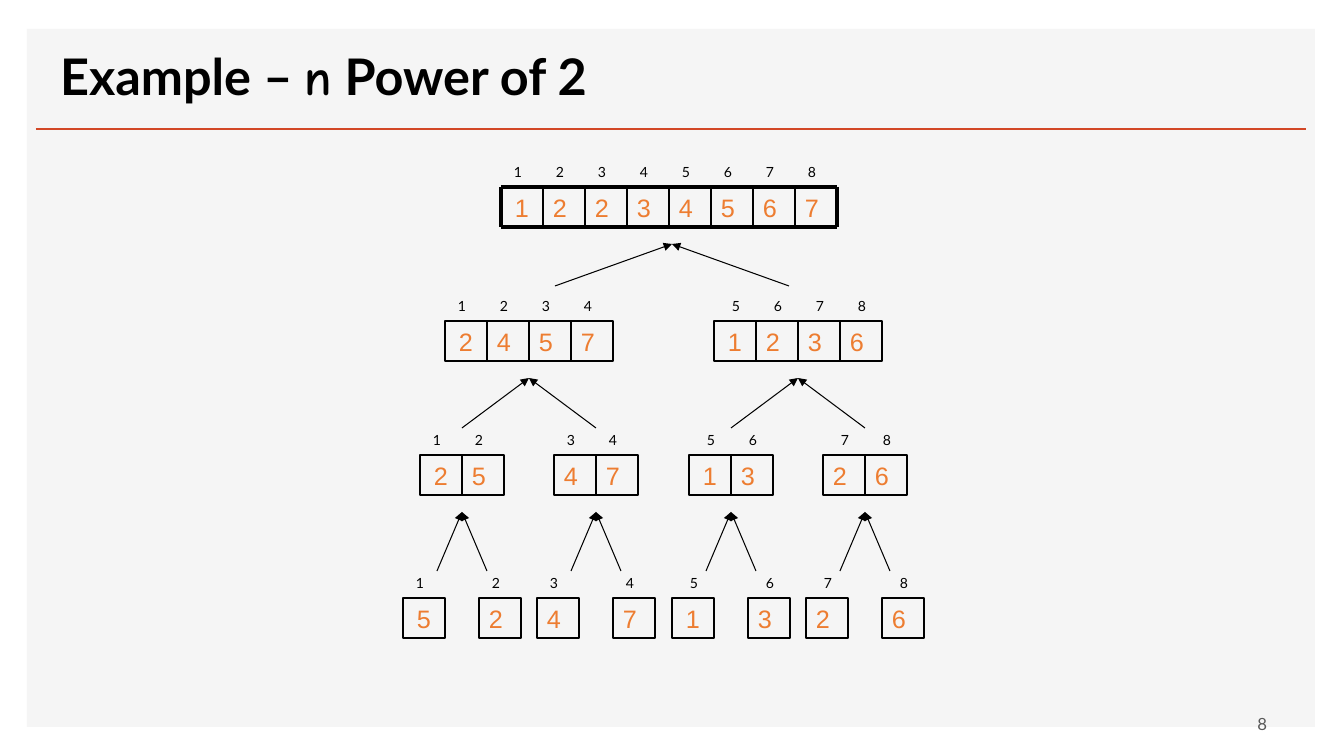
from lxml import etree
from pptx import Presentation
from pptx import util as u
from pptx.dml.color import RGBColor
from pptx.enum import shapes, text
from pptx.oxml.ns import qn

SCALE = 914400 / 100.8  # EMU in one pixel
BLACK = RGBColor(0x00, 0x00, 0x00)
PANEL = RGBColor(0xF5, 0xF5, 0xF5)
RULE = RGBColor(0xD2, 0x47, 0x26)
ORANGE = RGBColor(0xED, 0x7D, 0x31)
GREY = RGBColor(0x59, 0x59, 0x59)

CELL_W, CELL_H = 42, 40
LEAVES = [5, 2, 4, 7, 1, 3, 2, 6]
LEAF_TOP = 598
PAIR_CENTERS = [round(462 + 134.4 * i) for i in range(4)]
# centers of the blocks, top of the cells, arrow tip, arrow tail, half the arrow spread
MERGE_LEVELS = [
    ([672], 187, 244, 286, 117),
    ([529, 798], 321, 378, 428, 67),
    (PAIR_CENTERS, 455, 512, 571, 25),
]
ROOT_LEFT = 501


def px(length):
    """Turn pixels into EMU."""
    return u.Emu(round(length * SCALE))


def add_span(para, words, font="Lato", size=10, color=BLACK, bold=False):
    """Add a formatted run to a paragraph."""
    span = para.add_run()
    span.text = words
    span.font.name, span.font.size = font, u.Pt(size)
    span.font.bold = bold
    span.font.color.rgb = color


def add_text(page, words, left, top, width, height, align=text.PP_ALIGN.LEFT,
             anchor=text.MSO_ANCHOR.MIDDLE, wrap=True, **font):
    """Add a text box with one run."""
    box = page.shapes.add_textbox(px(left), px(top), px(width), px(height))
    fill_text(box, words, align, anchor, wrap, **font)


def fill_text(box, words, align, anchor, wrap=True, **font):
    """Put one formatted run into a shape or text box."""
    frame = box.text_frame
    frame.word_wrap, frame.vertical_anchor = wrap, anchor
    para = frame.paragraphs[0]
    para.alignment = align
    add_span(para, words, **font)


def add_rect(page, left, top, width, height, fill=None, line=None):
    """Add a rectangle, unfilled or without outline when no colour is given."""
    rect = page.shapes.add_shape(shapes.MSO_SHAPE.RECTANGLE,
                                 px(left), px(top), px(width), px(height))
    rect.shadow.inherit = False
    if fill is None:
        rect.fill.background()
    else:
        rect.fill.solid()
        rect.fill.fore_color.rgb = fill
    if line is None:
        rect.line.fill.background()
    else:
        rect.line.color.rgb, rect.line.width = line, u.Pt(1.5)
    return rect


def add_line(page, x1, y1, x2, y2, width, color=BLACK, arrow=False):
    """Add a straight line, with an arrowhead at its start if asked."""
    line = page.shapes.add_connector(shapes.MSO_CONNECTOR.STRAIGHT,
                                     px(x1), px(y1), px(x2), px(y2))
    line.line.color.rgb, line.line.width = color, u.Pt(width)
    if arrow:
        outline = line.line._get_or_add_ln()
        etree.SubElement(outline, qn("a:headEnd"), type="triangle")
    etree.SubElement(line._element.spPr, qn("a:effectLst"))


def add_block(page, left, top, first, values, boxed=True):
    """Add a row of array cells with their indices above, counted from first."""
    label_shift = 8 if first > 4 else 3
    for i, value in enumerate(values):
        x = left + i * CELL_W
        add_text(page, str(first + i), x + label_shift, top - 28, 25, 27,
                 anchor=text.MSO_ANCHOR.TOP, wrap=False)
        centred = i == 0 and first in (1, 5)
        align = text.PP_ALIGN.CENTER if centred else text.PP_ALIGN.LEFT
        style = dict(align=align, anchor=text.MSO_ANCHOR.MIDDLE,
                     font="Arial", size=18, color=ORANGE)
        if boxed:
            fill_text(add_rect(page, x, top, CELL_W, CELL_H, line=BLACK),
                      str(value), **style)
        else:
            add_text(page, str(value), x, top, CELL_W, CELL_H, **style)


def add_root_grid(page, left, top, count):
    """Rule the sorted array: heavy outside, thin between cells."""
    right, bottom = left + count * CELL_W, top + CELL_H
    for y in (top, bottom):
        add_line(page, left, y, right, y, 2.25)
    for i in range(count + 1):
        x = left + i * CELL_W
        add_line(page, x, top, x, bottom, 2.25 if i in (0, count) else 1)


def add_title(page):
    """Place and format the title."""
    title = page.shapes.title
    page.shapes._spTree.append(title._element)  # in front of the panel
    title.left, title.top, title.width, title.height = map(px, (50, 11, 1210, 100))
    frame = title.text_frame
    frame.auto_size = text.MSO_AUTO_SIZE.NONE
    frame.vertical_anchor = text.MSO_ANCHOR.BOTTOM
    para = frame.paragraphs[0]
    para.alignment = text.PP_ALIGN.LEFT
    for words, font in (("Example – ", "Lato"), ("n", "Comic Neue"),
                        (" Power of 2", "Lato")):
        add_span(para, words, font, size=36, bold=True)


def add_merge_tree(page):
    """Draw the merge sort tree from the sorted root to the leaves."""
    for centers, top, tip, tail, spread in MERGE_LEVELS:
        count = len(LEAVES) // len(centers)
        is_root = len(centers) == 1
        for i, center in enumerate(centers):
            start = i * count
            left = ROOT_LEFT if is_root else center - count * CELL_W // 2
            add_block(page, left, top, start + 1,
                      sorted(LEAVES[start:start + count]), boxed=not is_root)
            if is_root:
                add_root_grid(page, left, top, count)
            for side in (-1, 1):
                add_line(page, center, tip, center + side * spread, tail, 0.75,
                         arrow=True)
    for i, value in enumerate(LEAVES):
        offset = 17 if i % 2 else -59
        add_block(page, PAIR_CENTERS[i // 2] + offset, LEAF_TOP, i + 1, [value])


def main():
    """Build the slide and save it."""
    deck = Presentation()
    deck.slide_width, deck.slide_height = px(1344), px(756)
    page = deck.slides.add_slide(deck.slide_layouts[5])
    add_rect(page, 27, 29, 1288, 698, fill=PANEL)
    add_line(page, 36, 129, 1306, 129, 2, RULE)
    add_text(page, "8", 964, 706, 313, 35, align=text.PP_ALIGN.RIGHT,
             size=12, color=GREY)
    add_title(page)
    add_merge_tree(page)
    deck.save("out.pptx")


main()
